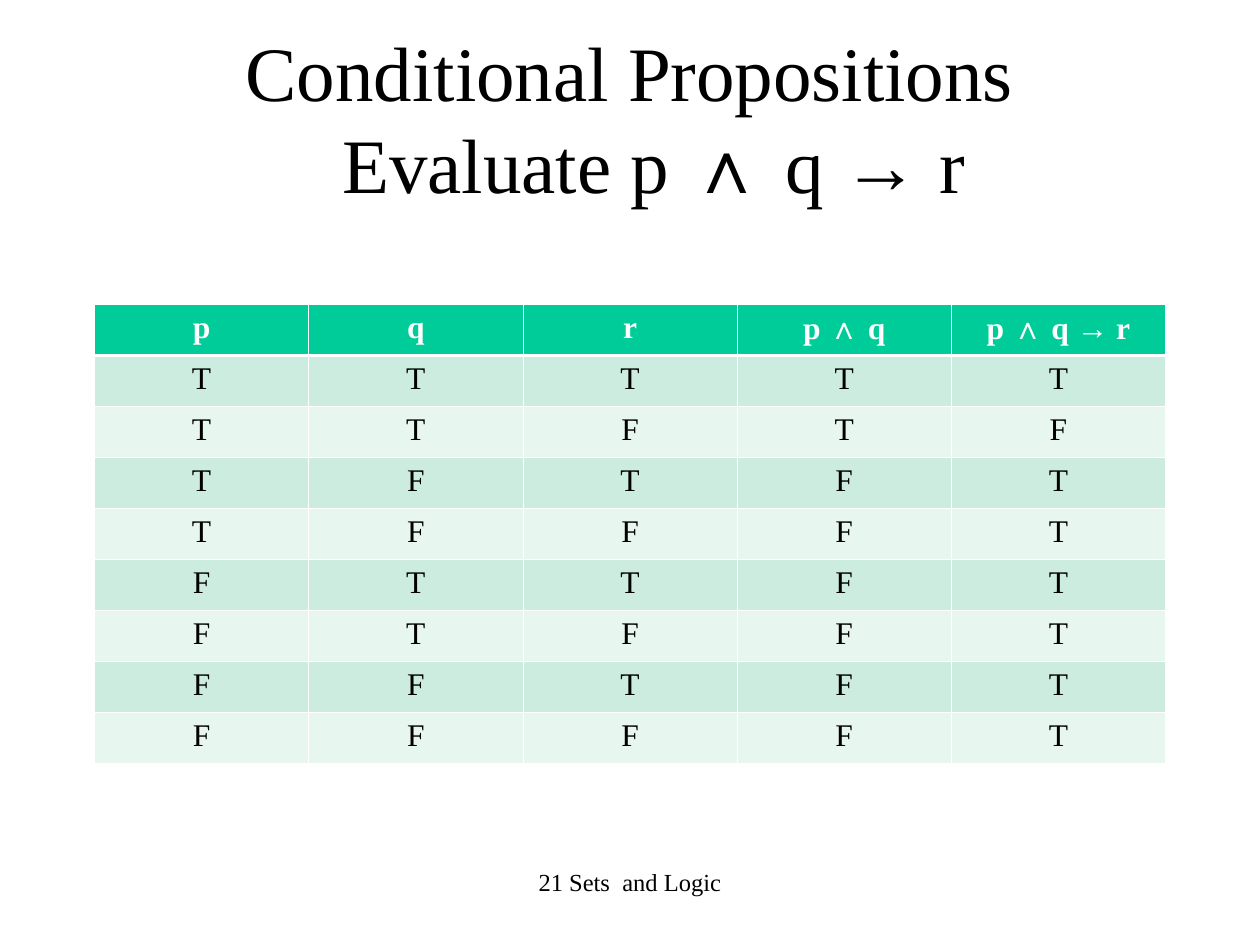
from itertools import product

from lxml import etree
from pptx import Presentation, util as u
from pptx.dml.color import RGBColor
from pptx.enum import text
from pptx.oxml import ns

THEME = {
    "ink": "000000", "header_ink": "FFFFFF", "border": "FFFFFF",
    "header": "00CC99", "bands": ("CBECDE", "E7F6EF"),
    "body_font": "Times New Roman", "symbol_font": "Arial",
    "title_size": 44, "table_size": 18, "footer_size": 14,
    "thin": 0.45, "thick": 1.47,
}

TITLE = "Conditional Propositions\vEvaluate p ∧ q → r"
FOOTER = "21 Sets  and Logic"
HEADERS = ["p", "q", "r", "p ∧ q", "p ∧ q → r"]

TITLE_AREA = (54, 48, 612, 90)
TABLE_AREA = (54, 174, 612, 262.4)
FOOTER_AREA = (246, 492, 228, 36)


def truth_rows():
    """Evaluate both compound propositions for every p, q and r."""
    for p, q, r in product((True, False), repeat=3):
        both = p and q
        yield ["T" if value else "F" for value in (p, q, r, both, not both or r)]


def write(frame, words, size, color, bold=False):
    """Fill the first paragraph, with the AND sign in the symbol font."""
    para = frame.paragraphs[0]
    para.alignment = text.PP_ALIGN.CENTER

    def add_span(content, font):
        span = para.add_run()
        span.text = content
        span.font.name = font
        span.font.size = u.Pt(size)
        span.font.bold = bold
        span.font.color.rgb = RGBColor.from_string(color)

    for line_index, line in enumerate(words.split("\v")):
        if line_index:
            para.add_line_break()
        before, sign, after = line.partition("∧")
        add_span(before, THEME["body_font"])
        if sign:
            add_span(sign, THEME["symbol_font"])
            add_span(after, THEME["body_font"])
    return para


def add_box(page, area):
    box = page.shapes.add_textbox(*map(u.Pt, area))
    box.text_frame.word_wrap = True
    return box.text_frame


def add_border(cell, side, width):
    properties = cell._tc.get_or_add_tcPr()
    line = etree.SubElement(properties, ns.qn(f"a:ln{side}"), w=str(int(u.Pt(width))))
    fill = etree.SubElement(line, ns.qn("a:solidFill"))
    etree.SubElement(fill, ns.qn("a:srgbClr"), val=THEME["border"])


def add_truth_table(page):
    rows = [HEADERS, *truth_rows()]
    table = page.shapes.add_table(len(rows), len(HEADERS), *map(u.Pt, TABLE_AREA)).table
    table.horz_banding = False
    for column in table.columns:
        column.width = u.Pt(TABLE_AREA[2] / len(HEADERS))
    for row in table.rows:
        row.height = u.Pt(TABLE_AREA[3] / len(rows))

    for row_index, row in enumerate(rows):
        is_header = row_index == 0
        fill = THEME["header"] if is_header else THEME["bands"][(row_index - 1) % 2]
        ink = THEME["header_ink"] if is_header else THEME["ink"]
        thick_side = {0: "B", 1: "T"}.get(row_index)
        for column_index, words in enumerate(row):
            cell = table.cell(row_index, column_index)
            for side in "LRTB":
                add_border(cell, side, THEME["thick" if side == thick_side else "thin"])
            cell.fill.solid()
            cell.fill.fore_color.rgb = RGBColor.from_string(fill)
            write(cell.text_frame, words, THEME["table_size"], ink, is_header)


def main():
    deck = Presentation()
    deck.slide_width, deck.slide_height = u.Pt(720), u.Pt(540)
    page = deck.slides.add_slide(deck.slide_layouts[6])

    write(add_box(page, FOOTER_AREA), FOOTER, THEME["footer_size"], THEME["ink"])

    title = add_box(page, TITLE_AREA)
    title.vertical_anchor = text.MSO_ANCHOR.MIDDLE
    title.margin_bottom = u.Pt(56.4)  # lifts the two lines above the box centre
    para = write(title, TITLE, THEME["title_size"], THEME["ink"])
    indent = u.Pt(27)
    para._p.get_or_add_pPr().set("marL", str(int(indent)))
    para._p.get_or_add_pPr().set("indent", str(-int(indent)))

    add_truth_table(page)
    deck.save("out.pptx")


if __name__ == "__main__":
    main()
